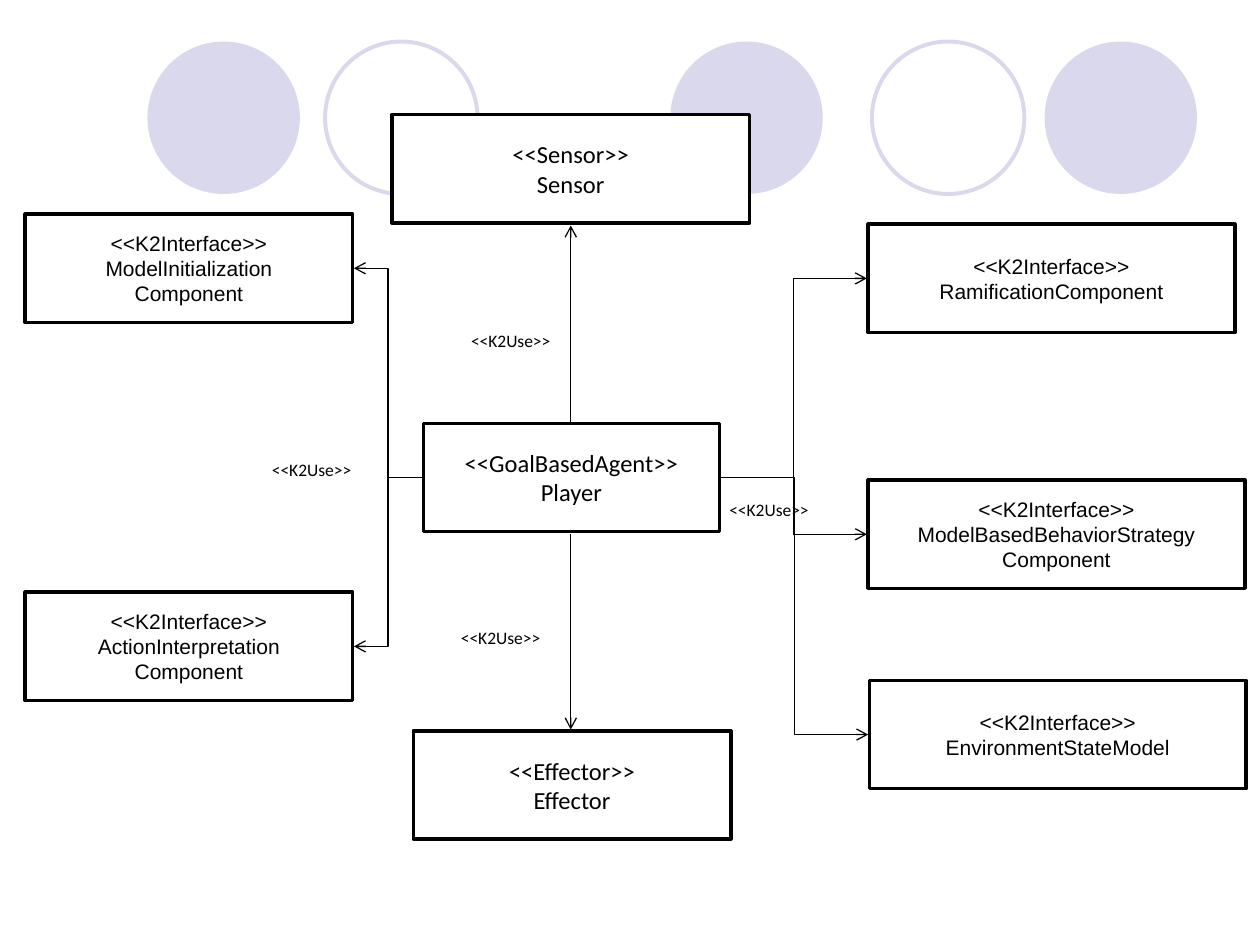
from dataclasses import dataclass

import pptx
import pptx.dml.color
import pptx.enum.shapes
import pptx.enum.text
import pptx.oxml
import pptx.oxml.ns
import pptx.util

Inches = pptx.util.Inches
Pt = pptx.util.Pt
RGBColor = pptx.dml.color.RGBColor
Shape = pptx.enum.shapes.MSO_SHAPE
Connector = pptx.enum.shapes.MSO_CONNECTOR

BLACK = RGBColor(0x00, 0x00, 0x00)
WHITE = RGBColor(0xFF, 0xFF, 0xFF)
LAVENDER = RGBColor(0xD9, 0xD8, 0xEC)

CIRCLE_TOP = 0.33
CIRCLE_SIZE = 1.21
BOX_HEIGHT = 0.86
INTERFACE = "<<K2Interface>>"


@dataclass(frozen=True)
class Circle:
    left: float
    filled: bool


@dataclass(frozen=True)
class Box:
    left: float
    top: float
    width: float
    lines: tuple[str, ...]
    font: str = "Arial"
    size: int = 12


@dataclass(frozen=True)
class Arrow:
    begin: tuple[float, float]
    end: tuple[float, float]


@dataclass(frozen=True)
class Label:
    left: float
    top: float


CIRCLES = (
    Circle(5.32, True),
    Circle(8.29, True),
    Circle(1.17, True),
    Circle(6.92, False),
    Circle(2.58, False),
)

BOXES = (
    Box(3.11, 0.91, 2.84, ("<<Sensor>>", "Sensor"), "Calibri", 14),
    Box(3.36, 3.36, 2.35, ("<<GoalBasedAgent>>", "Player"), "Calibri", 14),
    Box(3.28, 5.8, 2.52, ("<<Effector>>", "Effector"), "Calibri", 14),
    Box(0.2, 1.7, 2.6, (INTERFACE, "ModelInitialization", "Component")),
    Box(0.2, 4.7, 2.6, (INTERFACE, "ActionInterpretation", "Component")),
    Box(6.89, 1.78, 2.91, (INTERFACE, "RamificationComponent")),
    Box(6.89, 3.81, 2.99, (INTERFACE, "ModelBasedBehaviorStrategy", "Component")),
    Box(6.9, 5.4, 2.99, (INTERFACE, "EnvironmentStateModel")),
)

PLAYER_LEFT = (3.35, 3.79)
PLAYER_RIGHT = (5.72, 3.79)
ARROWS = (
    Arrow((4.53, 3.35), (4.53, 1.79)),
    Arrow((4.53, 4.24), (4.53, 5.79)),
    Arrow(PLAYER_LEFT, (2.81, 2.13)),
    Arrow(PLAYER_LEFT, (2.81, 5.13)),
    Arrow(PLAYER_RIGHT, (6.88, 2.21)),
    Arrow(PLAYER_RIGHT, (6.88, 4.24)),
    Arrow(PLAYER_RIGHT, (6.89, 5.83)),
)

LABELS = (Label(3.64, 2.57), Label(3.56, 4.93), Label(5.69, 3.91), Label(2.06, 3.59))


def add_run(paragraph, text: str, font: str, size: int) -> None:
    run = paragraph.add_run()
    run.text = text
    run.font.name = font
    run.font.size = Pt(size)
    run.font.color.rgb = BLACK


def draw_circle(slide, circle: Circle) -> None:
    shape = slide.shapes.add_shape(
        Shape.OVAL, Inches(circle.left), Inches(CIRCLE_TOP),
        Inches(CIRCLE_SIZE), Inches(CIRCLE_SIZE),
    )
    shape.shadow.inherit = False
    if circle.filled:
        shape.fill.solid()
        shape.fill.fore_color.rgb = LAVENDER
        shape.line.fill.background()
    else:
        shape.fill.background()
        shape.line.color.rgb = LAVENDER
        shape.line.width = Pt(2.25)


def draw_box(slide, box: Box) -> None:
    shape = slide.shapes.add_shape(
        Shape.RECTANGLE, Inches(box.left), Inches(box.top),
        Inches(box.width), Inches(BOX_HEIGHT),
    )
    shape.shadow.inherit = False
    shape.fill.solid()
    shape.fill.fore_color.rgb = WHITE
    shape.line.color.rgb = BLACK
    shape.line.width = Pt(2)
    frame = shape.text_frame
    frame.vertical_anchor = pptx.enum.text.MSO_ANCHOR.MIDDLE
    for index, line in enumerate(box.lines):
        paragraph = frame.add_paragraph() if index else frame.paragraphs[0]
        paragraph.alignment = pptx.enum.text.PP_ALIGN.CENTER
        add_run(paragraph, line, box.font, box.size)


def draw_arrow(slide, arrow: Arrow) -> None:
    vertical = arrow.begin[0] == arrow.end[0]
    connector = slide.shapes.add_connector(
        Connector.STRAIGHT if vertical else Connector.ELBOW,
        *(Inches(value) for value in arrow.begin + arrow.end),
    )
    connector.line.color.rgb = BLACK
    connector.line.width = Pt(0.75)
    head = pptx.oxml.parse_xml(
        f'<a:tailEnd {pptx.oxml.ns.nsdecls("a")} type="arrow"/>'
    )
    effects = pptx.oxml.parse_xml(f'<a:effectLst {pptx.oxml.ns.nsdecls("a")}/>')
    properties = connector._element.spPr
    properties.find(pptx.oxml.ns.qn("a:ln")).append(head)
    properties.append(effects)


def draw_label(slide, label: Label) -> None:
    textbox = slide.shapes.add_textbox(
        Inches(label.left), Inches(label.top), Inches(0.83), Inches(0.27)
    )
    frame = textbox.text_frame
    frame.word_wrap = False
    frame.auto_size = pptx.enum.text.MSO_AUTO_SIZE.SHAPE_TO_FIT_TEXT
    add_run(frame.paragraphs[0], "<<K2Use>>", "Calibri", 10)


def main() -> None:
    presentation = pptx.Presentation()
    presentation.slide_width = Inches(10)
    presentation.slide_height = Inches(7.5)
    slide = presentation.slides.add_slide(presentation.slide_layouts[6])
    for circle in CIRCLES:
        draw_circle(slide, circle)
    for box in BOXES:
        draw_box(slide, box)
    for arrow in ARROWS:
        draw_arrow(slide, arrow)
    for label in LABELS:
        draw_label(slide, label)
    presentation.save("out.pptx")


if __name__ == "__main__":
    main()
